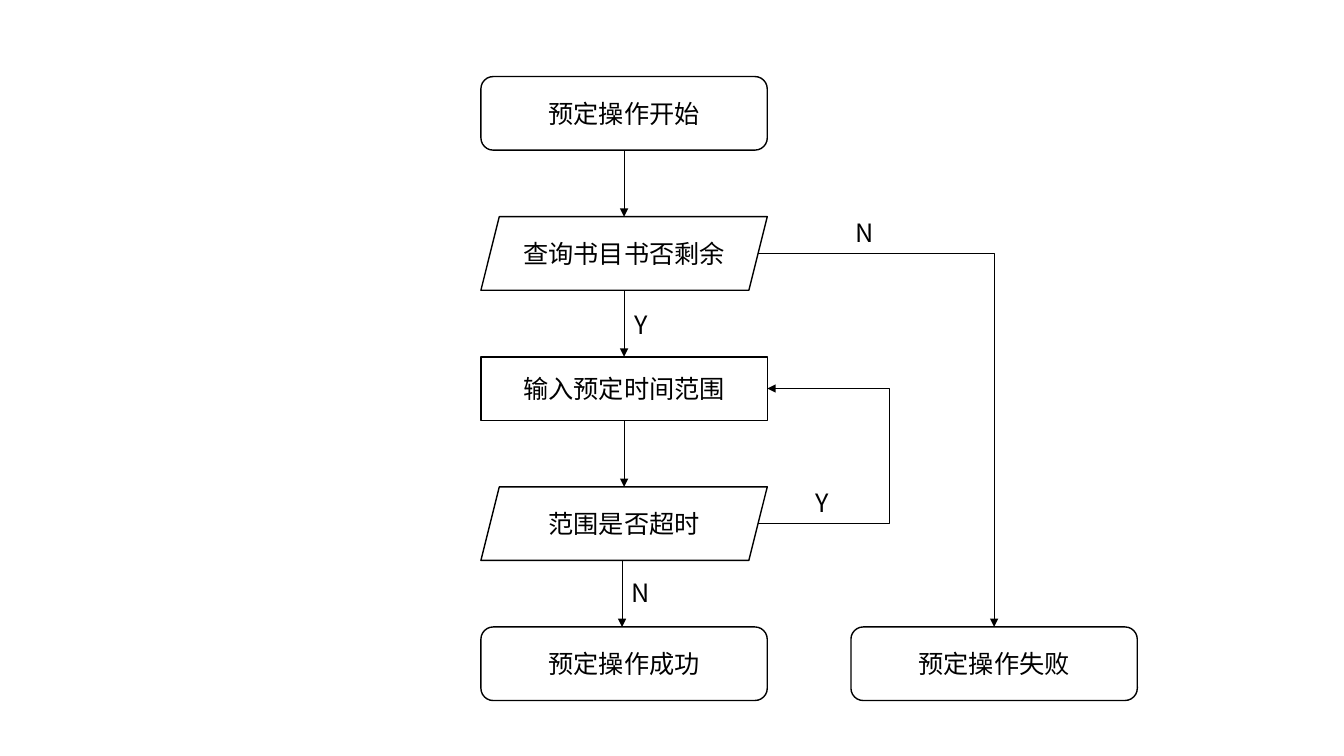
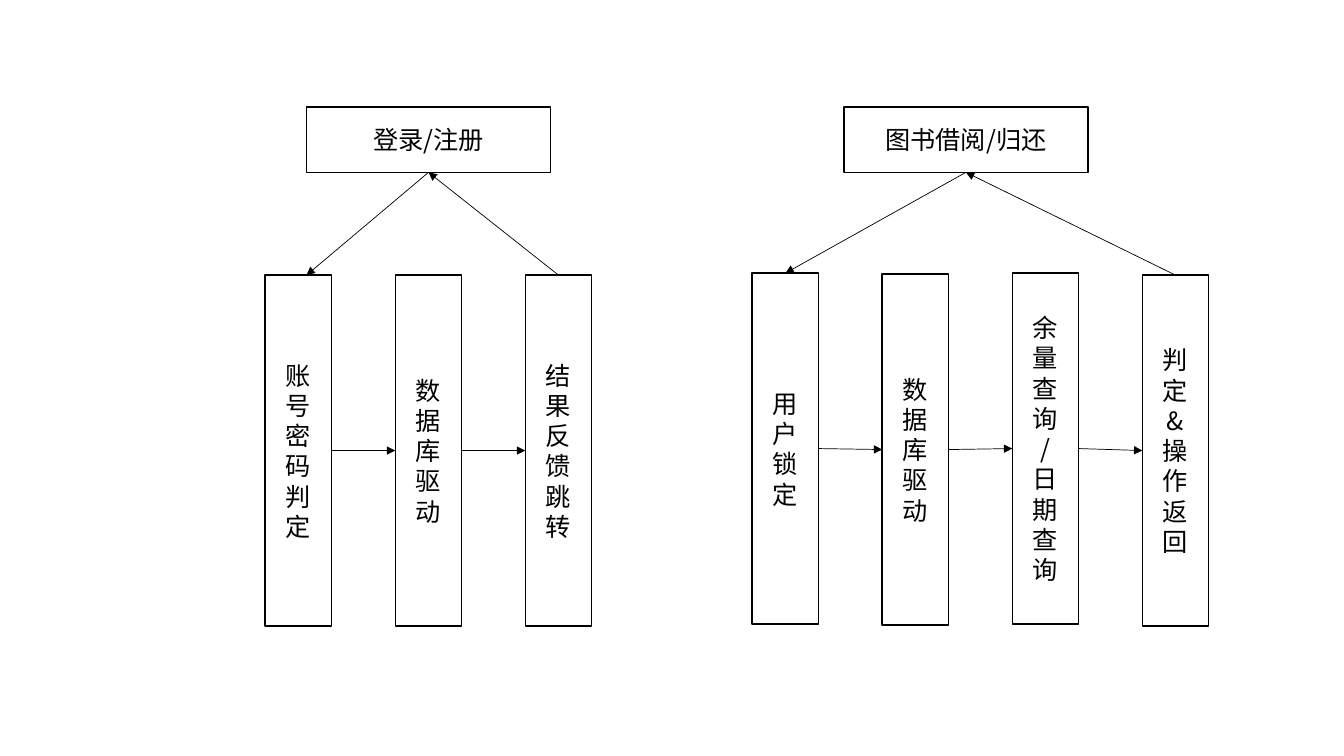
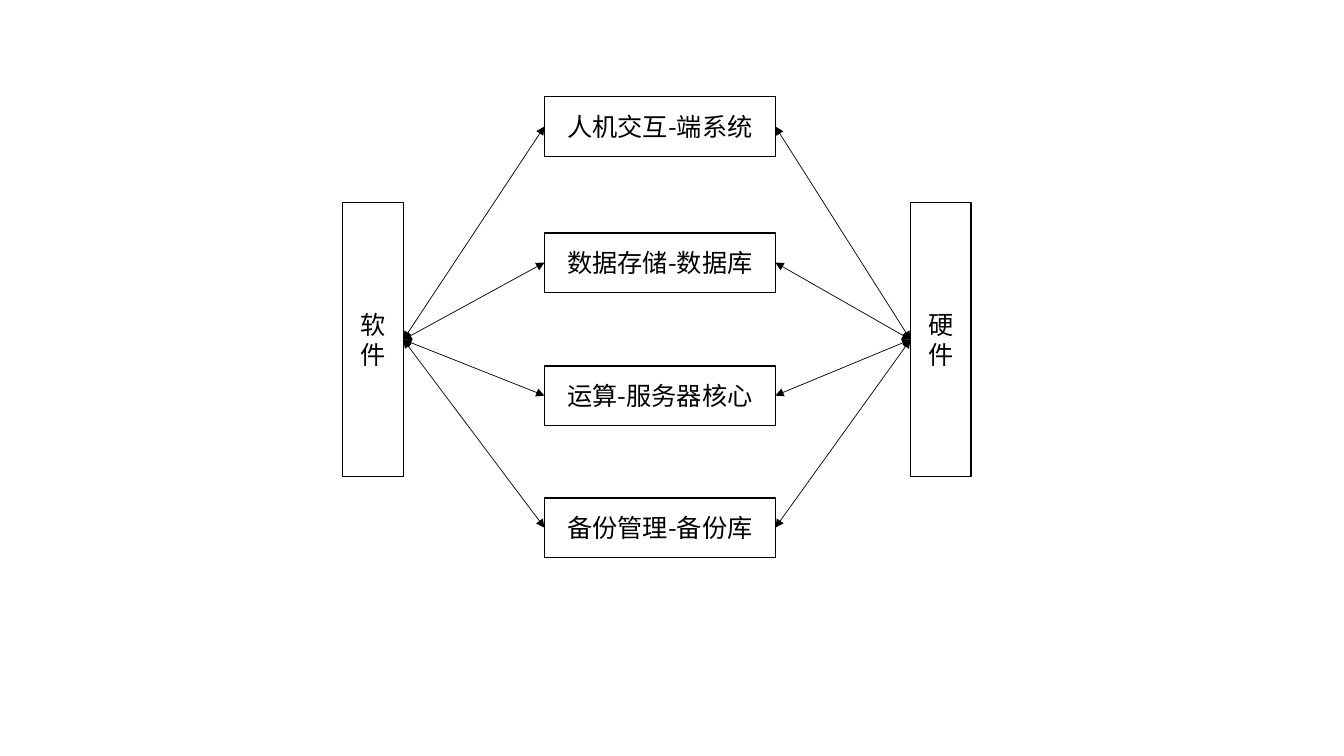
from collections import namedtuple
from dataclasses import dataclass

from lxml import etree
from pptx import Presentation
from pptx import util as u
from pptx.dml.color import RGBColor
from pptx.enum import shapes, text
from pptx.oxml import ns

# Reservation flow: text, outline, height
STEP_H = 0.73
RESERVATION = [
    ("预定操作开始", "ROUNDED_RECTANGLE", STEP_H),
    ("查询书目书否剩余", "PARALLELOGRAM", STEP_H),
    ("输入预定时间范围", "RECTANGLE", 0.63),
    ("范围是否超时", "PARALLELOGRAM", STEP_H),
    ("预定操作成功", "ROUNDED_RECTANGLE", STEP_H),
]
FAILURE = "预定操作失败"
ANSWERS = [("Y", 6.19, 3.02), ("N", 8.39, 2.11), ("N", 6.17, 5.68), ("Y", 7.98, 4.79)]

# Service chains: heading with its left edge, first lane's left edge,
# lanes as (top, text), and where the first arrow lands on lane one
LANE_W, LANE_H, LANE_PITCH = 0.66, 3.48, 1.29
SERVICES = [
    dict(heading="登录/注册", heading_left=3.04, lane_left=2.63, entry=0.41,
         lanes=[(2.73, "账号密码判定"), (2.73, "数据库驱动"), (2.73, "结果反馈\n跳转")]),
    dict(heading="图书借阅/归还", heading_left=8.37, lane_left=7.46, entry=0.33,
         lanes=[(2.71, "用户锁定"), (2.72, "数据库驱动"),
                (2.71, "余量查询\n/\n日期查询"), (2.73, "判定\n&\n操作返回")]),
]

# Architecture: two pillars around the components, given as (top, text)
PILLARS = [(3.4, "软件"), (9.03, "硬件")]
COMPONENTS = [(0.96, "人机交互-端系统"), (2.31, "数据存储-数据库"),
              (3.63, "运算-服务器核心"), (4.94, "备份管理-备份库")]


@dataclass(frozen=True)
class Theme:
    font: str = "Noto Sans CJK SC"
    size: int = 18
    ink: RGBColor = RGBColor(0, 0, 0)
    paper: RGBColor = RGBColor(255, 255, 255)
    outline: float = 1
    arrow: float = 0.5


THEME = Theme()


class Box(namedtuple("Box", "left top width height")):
    @property
    def right(self):
        return self.left + self.width

    @property
    def bottom(self):
        return self.top + self.height

    @property
    def center(self):
        return self.left + self.width / 2

    @property
    def middle(self):
        return self.top + self.height / 2

    def inches(self):
        return [u.Inches(length) for length in self]


def write(frame, words):
    frame.text = words
    for paragraph in frame.paragraphs:
        paragraph.alignment = text.PP_ALIGN.CENTER
        font = paragraph.font
        font.size, font.name = u.Pt(THEME.size), THEME.font
        font.color.rgb = THEME.ink
        east_asian = etree.SubElement(font._element, ns.qn("a:ea"))
        east_asian.set("typeface", THEME.font)


def draw_box(slide, box, words, outline="RECTANGLE"):
    shape = slide.shapes.add_shape(getattr(shapes.MSO_SHAPE, outline), *box.inches())
    shape.shadow.inherit = False
    shape.fill.solid()
    shape.fill.fore_color.rgb = THEME.paper
    shape.line.color.rgb = THEME.ink
    shape.line.width = u.Pt(THEME.outline)
    shape.text_frame.vertical_anchor = text.MSO_ANCHOR.MIDDLE
    shape.text_frame.word_wrap = True
    write(shape.text_frame, words)
    return box


def draw_label(slide, words, left, top):
    label = slide.shapes.add_textbox(*Box(left, top, 0.34, 0.4).inches())
    label.text_frame.word_wrap = False
    write(label.text_frame, words)


def draw_arrow(slide, start, end, kind="STRAIGHT", both=False):
    arrow = slide.shapes.add_connector(
        getattr(shapes.MSO_CONNECTOR, kind), *(u.Inches(v) for v in (*start, *end)))
    arrow.line.color.rgb = THEME.ink
    arrow.line.width = u.Pt(THEME.arrow)
    for side in ("headEnd", "tailEnd") if both else ("tailEnd",):
        etree.SubElement(arrow.line._ln, ns.qn("a:" + side)).set("type", "triangle")
    etree.SubElement(arrow._element.spPr, ns.qn("a:effectLst"))
    return arrow


def bend(arrow, preset, turn=None):
    """Choose the elbow's preset; turn is its bend as a share of the width."""
    geometry = arrow._element.spPr.find(ns.qn("a:prstGeom"))
    geometry.set("prst", preset)
    if turn is not None:
        guide = etree.SubElement(geometry.find(ns.qn("a:avLst")), ns.qn("a:gd"))
        guide.set("name", "adj1")
        guide.set("fmla", f"val {round(turn * 100000)}")


def build_reservation(slide):
    left, top, width, gap = 4.77, 0.76, 2.84, 0.66
    steps = []
    for words, outline, height in RESERVATION:
        steps.append(draw_box(slide, Box(left, top, width, height), words, outline))
        top += height + gap
    start, stock, period, overtime, success = steps
    failure = draw_box(slide, success._replace(left=8.44), FAILURE, "ROUNDED_RECTANGLE")

    for upper, lower in zip(steps, steps[1:]):
        x = upper.center - (0.02 if lower is success else 0)
        draw_arrow(slide, (x, upper.bottom), (x, lower.top))

    exit_x = stock.right - 0.09  # middle of the slanted side
    refused = draw_arrow(slide, (exit_x, stock.middle), (failure.center, failure.top), "ELBOW")
    bend(refused, "bentConnector2")
    retry = draw_arrow(slide, (exit_x, overtime.middle), (period.right, period.middle), "ELBOW")
    bend(retry, "bentConnector3", turn=14.4)
    for answer in ANSWERS:
        draw_label(slide, *answer)


def build_services(slide):
    for service in SERVICES:
        heading = draw_box(slide, Box(service["heading_left"], 1.06, 2.42, 0.65),
                           service["heading"])
        lanes = [
            draw_box(slide, Box(service["lane_left"] + i * LANE_PITCH, top, LANE_W, LANE_H), words)
            for i, (top, words) in enumerate(service["lanes"])]
        first, last = lanes[0], lanes[-1]
        hub = (heading.center, heading.bottom)
        draw_arrow(slide, hub, (first.left + service["entry"], first.top))
        draw_arrow(slide, (last.center, last.top), hub)
        for lane, following in zip(lanes, lanes[1:]):
            draw_arrow(slide, (lane.right, lane.middle), (following.left, following.middle))


def build_architecture(slide):
    software, hardware = [
        draw_box(slide, Box(left, 2.01, 0.6, 2.72), words) for left, words in PILLARS]
    for top, words in COMPONENTS:
        part = draw_box(slide, Box(5.4, top, 2.29, 0.59), words)
        draw_arrow(slide, (part.left, part.middle), (software.right, software.middle), both=True)
        draw_arrow(slide, (hardware.left, hardware.middle), (part.right, part.middle), both=True)


def main():
    deck = Presentation()
    deck.slide_width, deck.slide_height = u.Inches(13.33), u.Inches(7.5)
    blank = deck.slide_layouts[6]
    for build in (build_reservation, build_services, build_architecture):
        build(deck.slides.add_slide(blank))
    deck.save("out.pptx")


if __name__ == "__main__":
    main()
